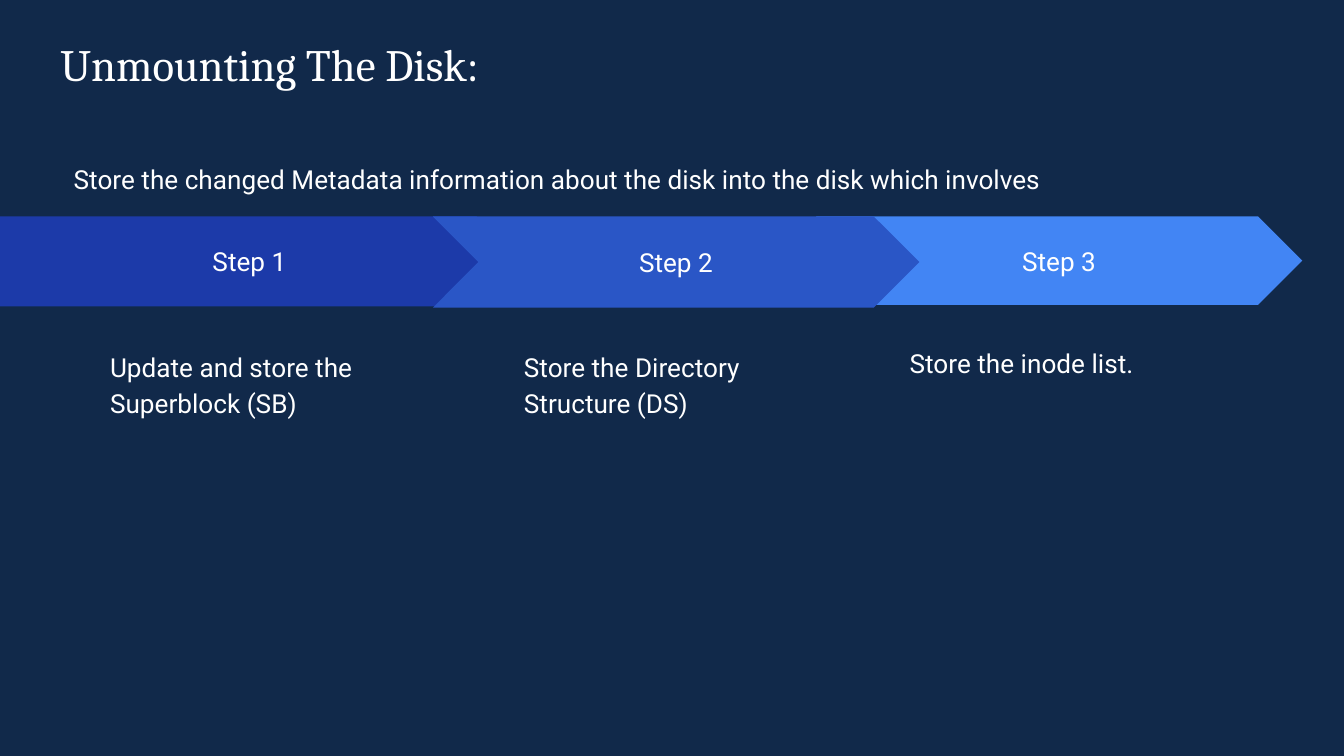
import pptx
import pptx.util
import pptx.dml.color
import pptx.enum.shapes
import pptx.enum.text

Inches = pptx.util.Inches
Anchor = pptx.enum.text.MSO_ANCHOR
Align = pptx.enum.text.PP_ALIGN
Shape = pptx.enum.shapes.MSO_SHAPE

COLORS = {
    "background": "11294A",
    "text": "FFFFFF",
    "step 1": "1C3AA9",
    "step 2": "2A56C6",
    "step 3": "4285F4",
}


def color(name):
    return pptx.dml.color.RGBColor.from_string(COLORS[name])


def write(box, text, size=14, font="Roboto", align=Align.LEFT, anchor=Anchor.TOP,
          line_spacing=1.0, space_after=0, bottom_inset=0.1):
    frame = box.text_frame
    frame.word_wrap = True
    frame.auto_size = pptx.enum.text.MSO_AUTO_SIZE.NONE
    frame.vertical_anchor = anchor
    frame.margin_left = frame.margin_right = frame.margin_top = Inches(0.1)
    frame.margin_bottom = Inches(bottom_inset)
    para = frame.paragraphs[0]
    para.alignment = align
    para.line_spacing = line_spacing
    para.space_after = pptx.util.Pt(space_after)
    span = para.add_run()
    span.text = text
    span.font.size = pptx.util.Pt(size)
    span.font.name = font
    span.font.color.rgb = color("text")


class SlideBuilder:
    """Holds the text style and the page being filled."""

    body_style = {"line_spacing": 1.15, "space_after": 16}
    title_style = {"size": 24, "font": "Cambria", "anchor": Anchor.BOTTOM}

    def __init__(self, page):
        self.page = page
        page.background.fill.solid()
        page.background.fill.fore_color.rgb = color("background")

    def title(self, text, left, top, width, height, bottom_inset):
        box = self.page.shapes.title
        box.left, box.top = Inches(left), Inches(top)
        box.width, box.height = Inches(width), Inches(height)
        write(box, text, bottom_inset=bottom_inset, **self.title_style)

    def body(self, text, *bounds):
        box = self.page.shapes.add_textbox(*map(Inches, bounds))
        write(box, text, **self.body_style)

    def arrow(self, kind, text, fill, *bounds):
        box = self.page.shapes.add_shape(kind, *map(Inches, bounds))
        box.adjustments[0] = 0.5
        box.shadow.inherit = False
        box.fill.solid()
        box.fill.fore_color.rgb = color(fill)
        box.line.fill.background()
        write(box, text, align=Align.CENTER, anchor=Anchor.MIDDLE)


def main():
    deck = pptx.Presentation()
    deck.slide_width = Inches(10)
    deck.slide_height = deck.slide_width * 9 // 16
    title_only = deck.slide_layouts[5]
    builder = SlideBuilder(deck.slides.add_slide(title_only))

    builder.title("Unmounting The Disk:", 0.35, 0.37, 4.13, 0.8, bottom_inset=0.5)

    # Step 3 comes first so that the earlier steps overlap it.
    arrow_top = 1.61
    steps = [
        (3, Shape.CHEVRON, (6.07, 3.62, 0.66),
         "Store the inode list.", (6.67, 2.45, 2.5, 1.44)),
        (1, Shape.PENTAGON, (0, 3.88, 0.67),
         "Update and store the Superblock (SB)", (0.72, 2.48, 2.45, 1.28)),
        (2, Shape.CHEVRON, (3.22, 3.62, 0.68),
         "Store the Directory Structure (DS)", (3.8, 2.48, 2.45, 2.63)),
    ]
    for number, kind, (left, width, height), detail, bounds in steps:
        builder.arrow(kind, f"Step {number}", f"step {number}",
                      left, arrow_top, width, height)
        builder.body(detail, *bounds)

    builder.body("Store the changed Metadata information about the disk "
                 "into the disk which involves", 0.45, 1.08, 8.79, 0.44)
    deck.save("out.pptx")


if __name__ == "__main__":
    main()
